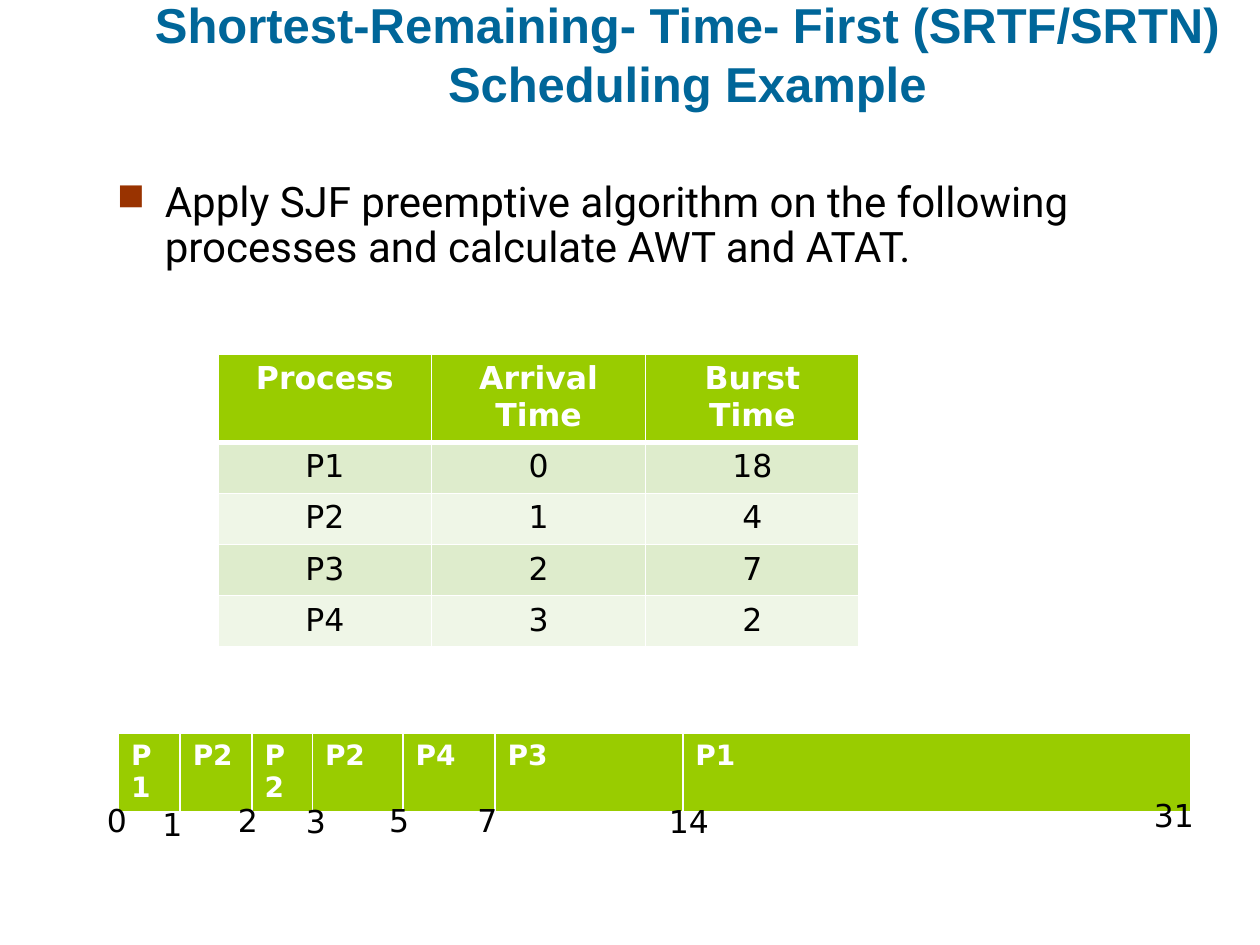
from lxml import etree
from pptx import Presentation
from pptx.dml.color import RGBColor
from pptx.enum import text
from pptx.oxml import ns
from pptx.util import Inches, Pt

COLORS = {"title": "006699", "bullet": "993300", "text": "000000", "white": "FFFFFF",
          "header": "99CC00", "odd": "DEECCC", "even": "EFF6E7"}


def add_run(p, words, size, font, color, bold=False):
    r = p.add_run()
    r.text = words
    r.font.size, r.font.name, r.font.bold = Pt(size), font, bold
    r.font.color.rgb = RGBColor.from_string(COLORS[color])


def style_cell(cell, fill, top=1, bottom=1):
    """Fill a cell and give it white borders; top and bottom widths in points."""
    tc_pr = cell._tc.get_or_add_tcPr()
    for side, width in zip("LRTB", (1, 1, top, bottom)):
        ln = etree.SubElement(tc_pr, ns.qn(f"a:ln{side}"), w=str(Pt(width)))
        solid = etree.SubElement(ln, ns.qn("a:solidFill"))
        etree.SubElement(solid, ns.qn("a:srgbClr"), val=COLORS["white"])
    cell.fill.solid()
    cell.fill.fore_color.rgb = RGBColor.from_string(COLORS[fill])


prs = Presentation()
prs.slide_width, prs.slide_height = Inches(10), Inches(7.5)
s = prs.slides.add_slide(prs.slide_layouts[6])

# Title
tf = s.shapes.add_textbox(Inches(1.08), Inches(0.44), Inches(8.75), Inches(0.5)).text_frame
tf.word_wrap = True
tf.vertical_anchor = text.MSO_ANCHOR.BOTTOM
p = tf.paragraphs[0]
p.alignment = text.PP_ALIGN.CENTER
add_run(p, "Shortest-Remaining- Time- First (SRTF/SRTN) Scheduling Example",
        28, "Arial", "title", bold=True)

# Task
tf = s.shapes.add_textbox(Inches(0.83), Inches(1.39), Inches(8.27), Inches(4.63)).text_frame
tf.word_wrap = True
p = tf.paragraphs[0]
p.line_spacing = 0.9
p_pr = p._p.get_or_add_pPr()
p_pr.set("marL", str(Inches(0.38)))
p_pr.set("indent", str(-Inches(0.38)))
bullet_color = etree.SubElement(p_pr, ns.qn("a:buClr"))
etree.SubElement(bullet_color, ns.qn("a:srgbClr"), val=COLORS["bullet"])
etree.SubElement(p_pr, ns.qn("a:buSzPct"), val="90000")
etree.SubElement(p_pr, ns.qn("a:buChar"), char="■")
add_run(p, "Apply SJF preemptive algorithm on the following processes and calculate AWT and ATAT.",
        24, "Roboto", "text")

# Process table
processes = [("Process", "Arrival Time", "Burst Time"),
             ("P1", "0", "18"), ("P2", "1", "4"), ("P3", "2", "7"), ("P4", "3", "2")]
table = s.shapes.add_table(5, 3, Inches(1.73), Inches(2.81), Inches(5.09), Inches(2.03)).table
for i, row in enumerate(processes):
    header = i == 0
    fill = "header" if header else "odd" if i % 2 else "even"
    for j, words in enumerate(row):
        cell = table.cell(i, j)
        style_cell(cell, fill, top=3 if i == 1 else 1, bottom=3 if header else 1)
        p = cell.text_frame.paragraphs[0]
        p.alignment = text.PP_ALIGN.CENTER
        add_run(p, words, 18, "DejaVu Sans", "white" if header else "text", bold=header)

# Gantt chart
bars = [("P1", 0.49), ("P2", 0.57), ("P2", 0.48), ("P2", 0.72),
        ("P4", 0.73), ("P3", 1.49), ("P1", 4.03)]
gantt = s.shapes.add_table(1, len(bars), Inches(0.94), Inches(5.82),
                           Inches(8.51), Inches(0.42)).table
for j, (process, width) in enumerate(bars):
    gantt.columns[j].width = Inches(width)
    cell = gantt.cell(0, j)
    style_cell(cell, "header", bottom=3)
    add_run(cell.text_frame.paragraphs[0], process, 16, "DejaVu Sans", "white", bold=True)

# Switching times under the Gantt chart
times = [("0", 0.75, 6.31), ("1", 1.19, 6.34), ("2", 1.79, 6.31), ("3", 2.33, 6.32),
         ("5", 2.99, 6.31), ("7", 3.69, 6.31), ("14", 5.21, 6.32), ("31", 9.06, 6.27)]
for time, left, top in times:
    tf = s.shapes.add_textbox(Inches(left), Inches(top), Inches(0.7), Inches(0.4)).text_frame
    tf.word_wrap = True
    add_run(tf.paragraphs[0], time, 18, "DejaVu Sans", "text")

prs.save("out.pptx")
